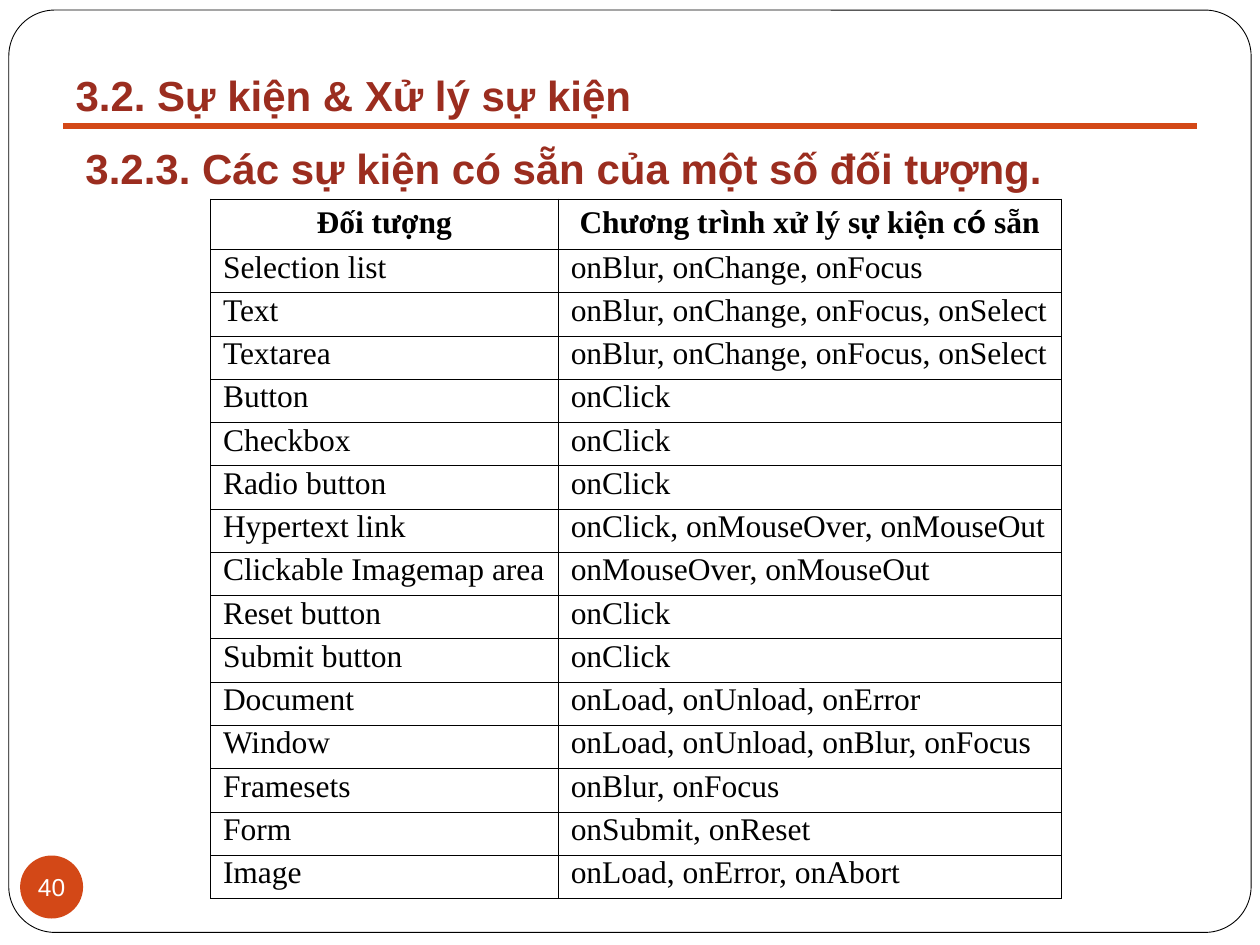
from typing import NamedTuple

from lxml import etree
from pptx import Presentation
from pptx.dml.color import RGBColor
from pptx.enum.shapes import MSO_CONNECTOR, MSO_SHAPE
from pptx.enum.text import MSO_ANCHOR, MSO_AUTO_SIZE, PP_ALIGN
from pptx.oxml.ns import qn
from pptx.util import Inches, Pt

BLACK = RGBColor(0x00, 0x00, 0x00)
WHITE = RGBColor(0xFF, 0xFF, 0xFF)
ORANGE = RGBColor(0xD3, 0x48, 0x17)
BRICK = RGBColor(0x9B, 0x2D, 0x1F)

SANS, SERIF = "Arial", "Times New Roman"
CENTER, JUSTIFY = PP_ALIGN.CENTER, PP_ALIGN.JUSTIFY
MIDDLE = MSO_ANCHOR.MIDDLE
FIT_SHAPE = MSO_AUTO_SIZE.SHAPE_TO_FIT_TEXT
ROUNDED, OVAL = MSO_SHAPE.ROUNDED_RECTANGLE, MSO_SHAPE.OVAL
STRAIGHT = MSO_CONNECTOR.STRAIGHT

TABLE_LEFT, TABLE_TOP = 1.67, 1.58
COL_WIDTHS = (2.76, 3.99)
TABLE_HEIGHT, HEADER_HEIGHT = 5.55, 0.4


class EventRow(NamedTuple):
    target: str
    handlers: str


class HeaderRun(NamedTuple):
    text: str
    font: str = SERIF


HEADERS = (
    [HeaderRun("Đối tượng")],
    [HeaderRun("Chương tr"), HeaderRun("ì", SANS),
     HeaderRun("nh xử lý sự kiện c"), HeaderRun("ó", SANS),
     HeaderRun(" sẵn")],
)

EVENTS = [
    EventRow("Selection list", "onBlur, onChange, onFocus"),
    EventRow("Text", "onBlur, onChange, onFocus, onSelect"),
    EventRow("Textarea", "onBlur, onChange, onFocus, onSelect"),
    EventRow("Button", "onClick"),
    EventRow("Checkbox", "onClick"),
    EventRow("Radio button", "onClick"),
    EventRow("Hypertext link", "onClick, onMouseOver, onMouseOut"),
    EventRow("Clickable Imagemap area", "onMouseOver, onMouseOut"),
    EventRow("Reset button", "onClick"),
    EventRow("Submit button", "onClick"),
    EventRow("Document", "onLoad, onUnload, onError"),
    EventRow("Window", "onLoad, onUnload, onBlur, onFocus"),
    EventRow("Framesets", "onBlur, onFocus"),
    EventRow("Form", "onSubmit, onReset"),
    EventRow("Image", "onLoad, onError, onAbort"),
]


def style_font(font, name: str, size: float, color: RGBColor, bold: bool = False) -> None:
    font.name = name
    font.size = Pt(size)
    font.bold = bold
    font.color.rgb = color


def set_heading(sp, text: str, left: float, top: float, width: float) -> None:
    sp.left, sp.top = Inches(left), Inches(top)
    sp.width, sp.height = Inches(width), Inches(0.5)
    tf = sp.text_frame
    tf.text = text
    tf.word_wrap = True
    tf.auto_size = FIT_SHAPE
    tf.vertical_anchor = MIDDLE
    p = tf.paragraphs[0]
    p.alignment = JUSTIFY
    style_font(p.runs[0].font, SANS, 24, BRICK, bold=True)


def add_frame(s) -> None:
    sp = s.shapes.add_shape(ROUNDED, Inches(0.07), Inches(0.08), Inches(9.86), Inches(7.32))
    sp.adjustments[0] = 0.05
    sp.shadow.inherit = False
    sp.fill.solid()
    sp.fill.fore_color.rgb = WHITE
    sp.line.color.rgb = BLACK
    sp.line.width = Pt(0.5)
    s.shapes._spTree.insert(2, sp._element)  # behind the title placeholder


def add_page_badge(s, number: str) -> None:
    sp = s.shapes.add_shape(OVAL, Inches(0.16), Inches(6.79), Inches(0.5), Inches(0.5))
    sp.shadow.inherit = False
    sp.fill.solid()
    sp.fill.fore_color.rgb = ORANGE
    sp.line.fill.background()
    tf = sp.text_frame
    tf.margin_left = tf.margin_right = tf.margin_top = tf.margin_bottom = 0
    tf.word_wrap = False
    tf.vertical_anchor = MIDDLE
    tf.text = number
    p = tf.paragraphs[0]
    p.alignment = CENTER
    style_font(p.runs[0].font, SANS, 14, WHITE)


def add_title_rule(s) -> None:
    line = s.shapes.add_connector(STRAIGHT, Inches(0.5), Inches(1), Inches(9.5), Inches(1))
    line.line.color.rgb = ORANGE
    line.line.width = Pt(3)
    etree.SubElement(line._element.spPr, qn("a:effectLst"))


def format_cell(cell) -> None:
    """Set the margins, a thin black border on every side and no fill."""
    cell.margin_left = cell.margin_right = Inches(0.1)
    cell.margin_top = cell.margin_bottom = Inches(0.05)
    tc_pr = cell._tc.get_or_add_tcPr()
    for side in ("lnL", "lnR", "lnT", "lnB"):
        ln = etree.SubElement(tc_pr, qn(f"a:{side}"), w=str(Pt(0.45)))
        fill = etree.SubElement(ln, qn("a:solidFill"))
        etree.SubElement(fill, qn("a:srgbClr"), val=str(BLACK))
    cell.fill.background()


def add_event_table(s) -> None:
    table = s.shapes.add_table(
        len(EVENTS) + 1, len(COL_WIDTHS), Inches(TABLE_LEFT), Inches(TABLE_TOP),
        Inches(sum(COL_WIDTHS)), Inches(TABLE_HEIGHT)).table
    table.first_row = table.horz_banding = False
    for col, width in zip(table.columns, COL_WIDTHS):
        col.width = Inches(width)
    for row in table.rows:
        row.height = Inches((TABLE_HEIGHT - HEADER_HEIGHT) / len(EVENTS))
    table.rows[0].height = Inches(HEADER_HEIGHT)

    for cell in table.iter_cells():
        format_cell(cell)
    for cell, runs in zip(table.rows[0].cells, HEADERS):
        p = cell.text_frame.paragraphs[0]
        p.alignment = CENTER
        for run in runs:
            r = p.add_run()
            r.text = run.text
            style_font(r.font, run.font, 18, BLACK, bold=True)
    for i, event in enumerate(EVENTS, start=1):
        for cell, text in zip(table.rows[i].cells, event):
            cell.text_frame.text = text
            p = cell.text_frame.paragraphs[0]
            p.alignment = JUSTIFY
            p.line_spacing = 0.8
            style_font(p.runs[0].font, SERIF, 18, BLACK)


def main() -> None:
    prs = Presentation()
    prs.slide_width, prs.slide_height = Inches(10), Inches(7.5)
    s = prs.slides.add_slide(prs.slide_layouts[5])
    add_frame(s)
    add_page_badge(s, "40")
    add_title_rule(s)
    set_heading(s.shapes.title, "3.2. Sự kiện & Xử lý sự kiện", 0.5, 0.5, 4.8)
    subtitle = s.shapes.add_textbox(0, 0, 0, 0)
    set_heading(subtitle, "3.2.3. Các sự kiện có sẵn của một số đối tượng.",
                0.58, 1.08, 8.58)
    add_event_table(s)
    prs.save("out.pptx")


if __name__ == "__main__":
    main()
